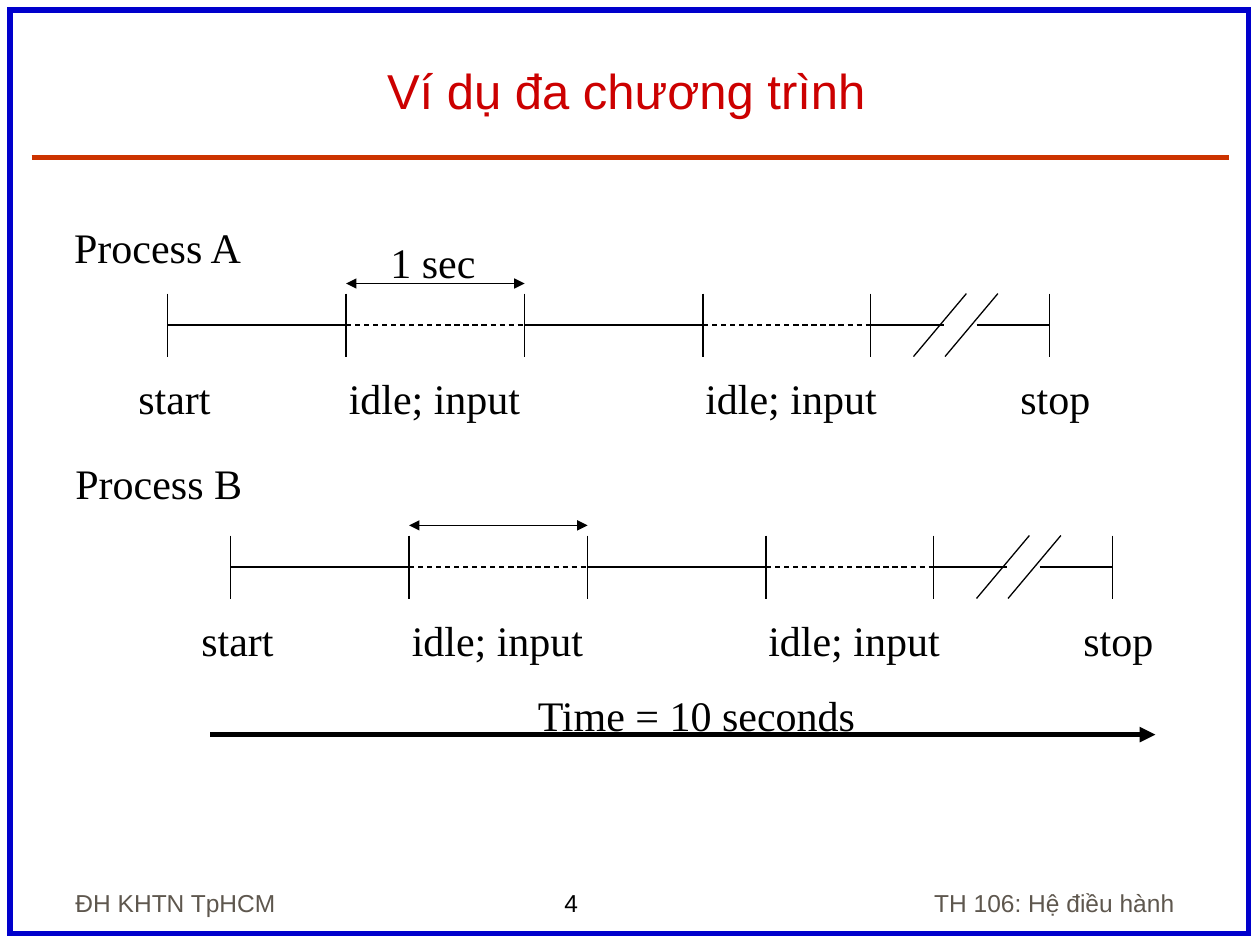
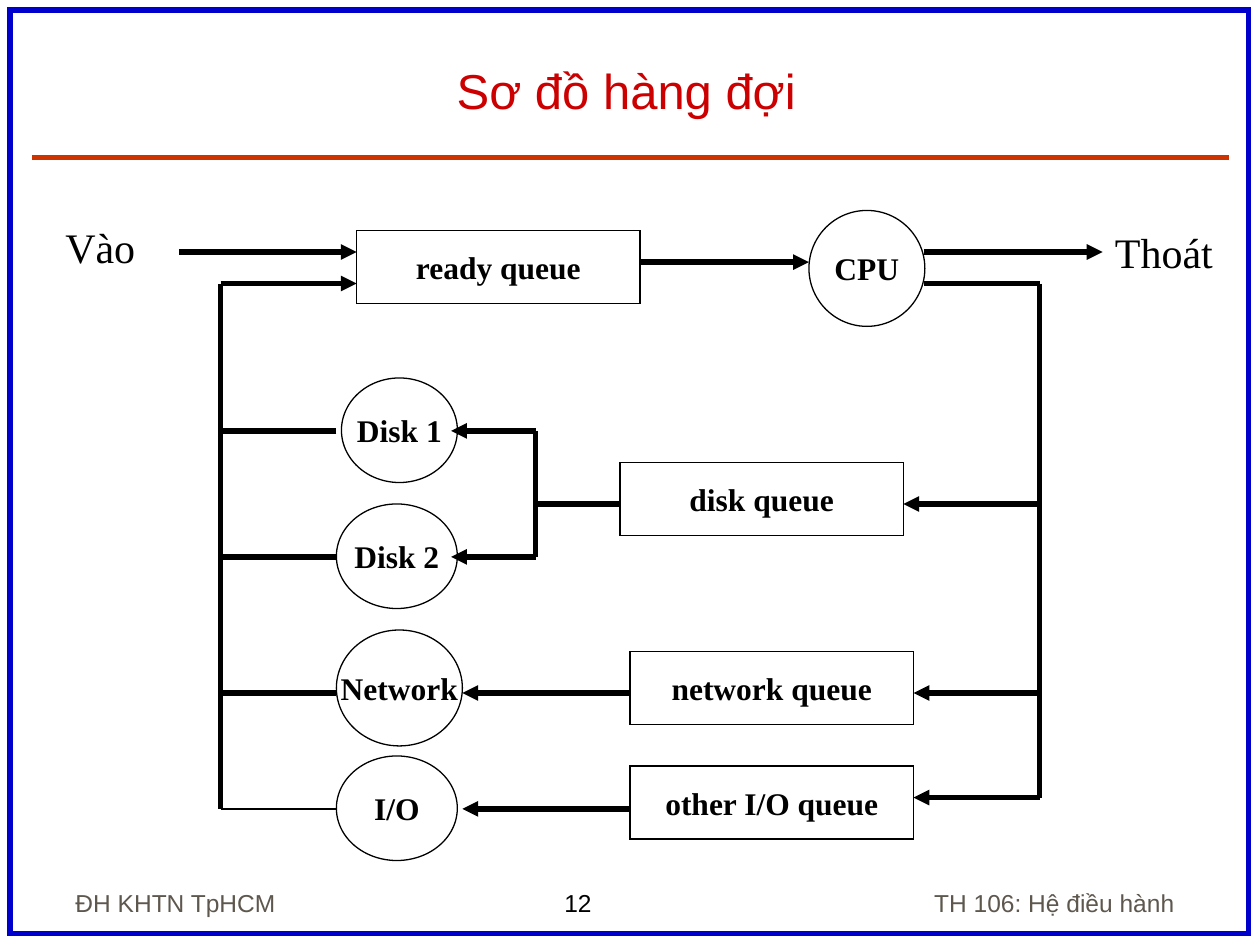
import lxml.etree
import pptx
import pptx.dml.color
import pptx.enum.dml
import pptx.enum.shapes
import pptx.enum.text
import pptx.oxml.ns
import pptx.util

Inches = pptx.util.Inches
Pt = pptx.util.Pt
RGBColor = pptx.dml.color.RGBColor
SHAPES = pptx.enum.shapes.MSO_SHAPE
ALIGN = pptx.enum.text.PP_ALIGN
ANCHOR = pptx.enum.text.MSO_ANCHOR
AUTO_SIZE = pptx.enum.text.MSO_AUTO_SIZE
qn = pptx.oxml.ns.qn

BLACK = RGBColor(0x00, 0x00, 0x00)
FRAME_BLUE = RGBColor(0x00, 0x00, 0xCC)
RULE_ORANGE = RGBColor(0xCC, 0x33, 0x00)
TITLE_RED = RGBColor(0xCC, 0x00, 0x00)
FOOTER_GREY = RGBColor(0x5E, 0x57, 0x4E)

SANS = "Arial"
SERIF = "Times New Roman"
THIN = 0.75
THICK = 3


def write(frame, text, font, size, color, bold=False, align=ALIGN.LEFT):
    para = frame.paragraphs[0]
    para.alignment = align
    span = para.add_run()
    span.text = text
    span.font.name = font
    span.font.size = Pt(size)
    span.font.color.rgb = color
    span.font.bold = bold


def add_text(shapes, text, left, top, width, height, font, size, color,
             align=ALIGN.LEFT, anchor=ANCHOR.TOP, wrap=True):
    """Add a text box; one that does not wrap fits its shape to the text."""
    box = shapes.add_textbox(Inches(left), Inches(top), Inches(width), Inches(height))
    frame = box.text_frame
    frame.word_wrap = wrap
    frame.vertical_anchor = anchor
    if not wrap:
        frame.auto_size = AUTO_SIZE.SHAPE_TO_FIT_TEXT
    write(frame, text, font, size, color, align=align)


def add_label(shapes, text, left, top, width, wrap=False):
    add_text(shapes, text, left, top, width, 0.5, SERIF, 24, BLACK, wrap=wrap)


def add_line(shapes, x1, y1, x2, y2, width=THIN, color=BLACK, dashed=False, arrows=()):
    """Draw a straight line; arrows names its ends with a head: headEnd, tailEnd."""
    line = shapes.add_connector(pptx.enum.shapes.MSO_CONNECTOR.STRAIGHT,
                                Inches(x1), Inches(y1), Inches(x2), Inches(y2))
    line.line.color.rgb = color
    line.line.width = Pt(width)
    if dashed:
        line.line.dash_style = pptx.enum.dml.MSO_LINE.DASH
    properties = line._element.spPr
    for end in arrows:
        lxml.etree.SubElement(properties.find(qn("a:ln")), qn("a:" + end), type="triangle")
    lxml.etree.SubElement(properties, qn("a:effectLst"))


def add_outline(shapes, kind, left, top, width, height, line_width=THIN, color=BLACK):
    """Add an unfilled shape with sharp corners."""
    shape = shapes.add_shape(kind, Inches(left), Inches(top), Inches(width), Inches(height))
    shape.shadow.inherit = False
    shape.fill.background()
    shape.line.color.rgb = color
    shape.line.width = Pt(line_width)
    outline = shape._element.spPr.find(qn("a:ln"))
    lxml.etree.SubElement(outline, qn("a:miter"), lim="800000")
    return shape


def add_node(shapes, kind, text, left, top, width, height):
    frame = add_outline(shapes, kind, left, top, width, height).text_frame
    frame.word_wrap = False
    frame.vertical_anchor = ANCHOR.MIDDLE
    write(frame, text, SERIF, 18, BLACK, bold=True, align=ALIGN.CENTER)


def add_page(deck, title, number):
    """Add a slide with the shared frame, rule, footers and title."""
    page = deck.slides.add_slide(deck.slide_layouts[6])
    shapes = page.shapes
    add_text(shapes, number, 4.38, 7, 1.09, 0.34, SANS, 14, BLACK, wrap=False)
    add_outline(shapes, SHAPES.RECTANGLE, 0.08, 0.08, 9.83, 7.33, THICK, FRAME_BLUE)
    add_line(shapes, 0.25, 1.25, 9.75, 1.25, THICK, RULE_ORANGE)
    add_text(shapes, "ĐH KHTN TpHCM", 0.5, 6.83, 2.08, 0.5, SANS, 14, FOOTER_GREY,
             anchor=ANCHOR.BOTTOM)
    add_text(shapes, "TH 106: Hệ điều hành", 6.67, 6.83, 2.75, 0.5, SANS, 14, FOOTER_GREY,
             ALIGN.RIGHT, ANCHOR.BOTTOM)
    add_text(shapes, title, 0.44, 0.25, 9.06, 0.75, SANS, 28, TITLE_RED,
             ALIGN.CENTER, ANCHOR.BOTTOM)
    return page


def add_timeline(page, left, top):
    """Group one process's time axis; left, top is the top of its first tick."""
    shapes = page.shapes.add_group_shape().shapes
    tick = 0.5
    axis = top + tick / 2
    second = 17 / 12
    for index in range(4):
        start = left + index * second
        add_line(shapes, start, axis, start + second, axis, dashed=index % 2 == 1)
    for offset in (0, second, 2 * second, 3 * second, 5.58, 7):
        add_line(shapes, left + offset, top, left + offset, top + tick)
    for offset in (5.58, 6.42):
        add_line(shapes, left + offset, axis, left + offset + 0.58, axis)
    for offset in (5.92, 6.17):
        add_line(shapes, left + offset + 0.42, top, left + offset, top + tick)
    for text, offset, width in (("start", -0.33, 0.9), ("idle; input", 1.34, 1.7),
                                ("idle; input", 4.17, 1.7), ("stop", 6.67, 0.9)):
        add_label(shapes, text, left + offset, top + 0.58, width)
    add_line(shapes, left + second, top - 0.08, left + 2 * second, top - 0.08,
             arrows=("headEnd", "tailEnd"))


def add_queue_diagram(shapes, left, top):
    """Draw the queues; left is the return line, top the height of the entry arrow."""
    for text, x, y, width, height in (
            ("CPU", 4.67, -0.33, 0.92, 0.92),
            ("Disk 1", 0.96, 1, 0.92, 0.83),
            ("Disk 2", 0.92, 2, 0.96, 0.83),
            ("Network", 0.92, 3, 1, 0.92),
            ("I/O", 0.92, 4, 0.96, 0.83)):
        add_node(shapes, SHAPES.OVAL, text, left + x, top + y, width, height)
    for text, x, y in (("ready queue", 1.08, -0.17), ("disk queue", 3.17, 1.67),
                       ("network queue", 3.25, 3.17), ("other I/O queue", 3.25, 4.08)):
        add_node(shapes, SHAPES.RECTANGLE, text, left + x, top + y, 2.25, 0.58)

    request_line, disk_split = 6.5, 2.5
    for y, start, end in (
            (0, -0.33, 1.08), (0.25, 0, 1.08), (0.08, 3.33, 4.67), (0, 5.58, 7),
            (2, request_line, 5.42), (3.5, request_line, 5.5), (4.33, request_line, 5.5),
            (1.42, disk_split, 1.83), (2.42, disk_split, 1.83),
            (3.5, 3.25, 1.92), (4.42, 3.25, 1.92)):
        add_line(shapes, left + start, top + y, left + end, top + y, THICK,
                 arrows=("tailEnd",))
    for y, start, end, width in (
            (0.25, 5.58, request_line, THICK), (2, 3.17, disk_split, THICK),
            (1.42, 0.92, 0, THICK), (2.42, 0.92, 0, THICK),
            (3.5, 0.92, 0, THICK), (4.42, 0.92, 0, THIN)):
        add_line(shapes, left + start, top + y, left + end, top + y, width)
    for x, start, end in ((0, 4.42, 0.25), (disk_split, 1.42, 2.42),
                          (request_line, 0.25, 4.33)):
        add_line(shapes, left + x, top + start, left + x, top + end, THICK)

    add_label(shapes, "Thoát", left + 7, top - 0.25, 1.08, wrap=True)
    add_label(shapes, "Vào", left - 1.33, top - 0.29, 1, wrap=True)


def add_multiprogramming_page(deck):
    page = add_page(deck, "Ví dụ đa chương trình", "4")
    add_label(page.shapes, "Process A", 0.49, 1.71, 1.65)
    add_label(page.shapes, "Process B", 0.5, 3.58, 1.65)
    add_line(page.shapes, 1.67, 5.83, 9.17, 5.83, THICK, arrows=("tailEnd",))
    add_label(page.shapes, "Time = 10 seconds", 4.17, 5.42, 2.85)
    add_timeline(page, 1.33, 2.33)
    add_label(page.shapes, "1 sec", 3, 1.83, 1)
    add_timeline(page, 1.83, 4.25)


def add_queue_page(deck):
    page = add_page(deck, "Sơ đồ hàng đợi", "12")
    add_queue_diagram(page.shapes, 1.75, 2)


def main():
    deck = pptx.Presentation()
    deck.slide_width = Inches(10)
    deck.slide_height = Inches(7.5)
    add_multiprogramming_page(deck)
    add_queue_page(deck)
    deck.save("out.pptx")


if __name__ == "__main__":
    main()
